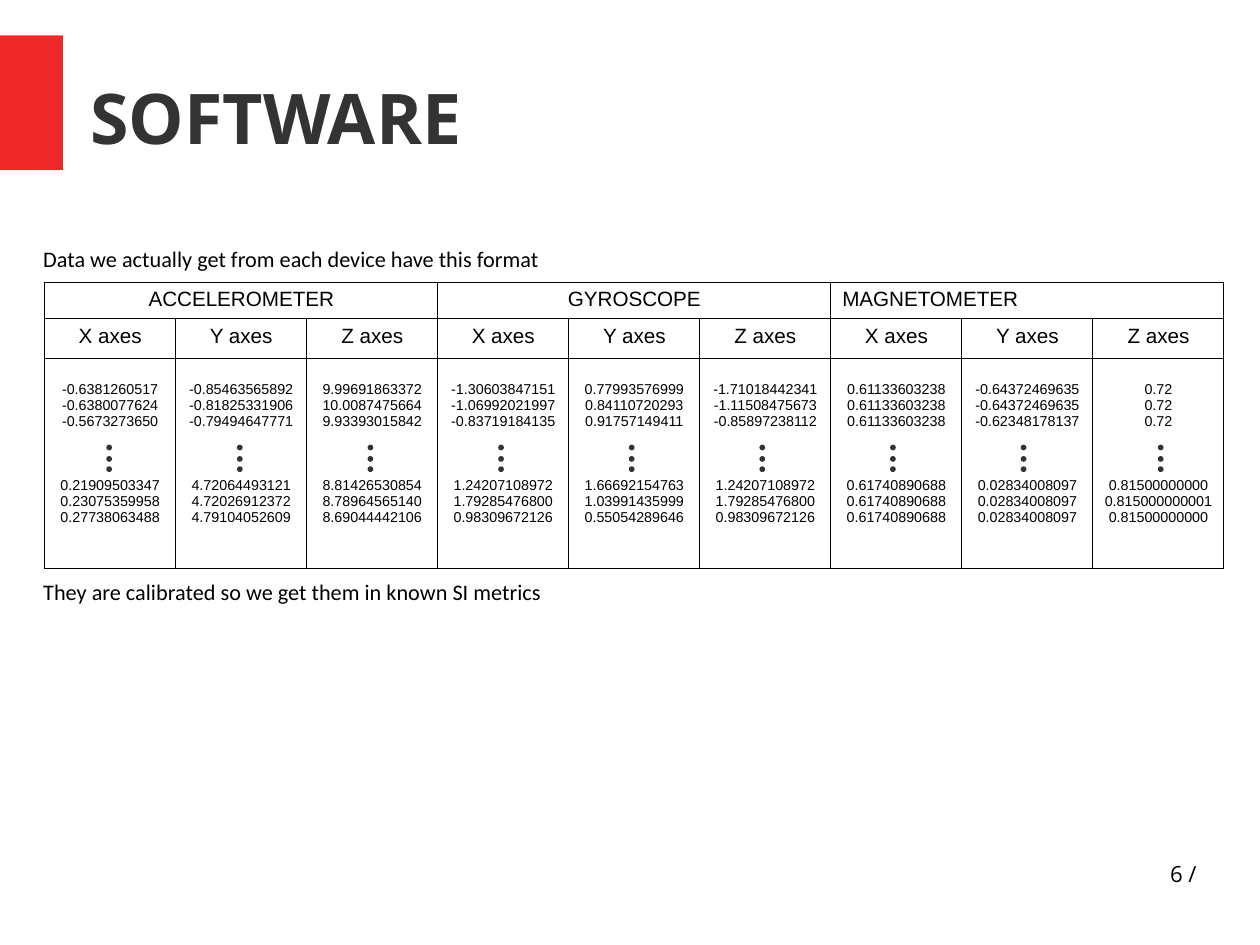
"""Builds the SOFTWARE slide with a table of sensor readings."""
from lxml.etree import SubElement
from pptx import Presentation
from pptx.dml.color import RGBColor
from pptx.enum.shapes import MSO_SHAPE
from pptx.enum.text import MSO_ANCHOR, MSO_AUTO_SIZE, PP_ALIGN
from pptx.oxml.ns import qn
from pptx.util import Cm, Inches, Pt

COLORS = {"red": "EF2929", "dark": "333333", "black": "000000"}
TITLE = "SOFTWARE"
SENSORS = [
    ("ACCELEROMETER", PP_ALIGN.CENTER),
    ("GYROSCOPE", PP_ALIGN.CENTER),
    ("MAGNETOMETER", PP_ALIGN.LEFT),
]
AXES = ["X axes", "Y axes", "Z axes"]
FIRST_READINGS = [
    ("-0.6381260517", "-0.6380077624", "-0.5673273650"),
    ("-0.85463565892", "-0.81825331906", "-0.79494647771"),
    ("9.99691863372", "10.0087475664", "9.93393015842"),
    ("-1.30603847151", "-1.06992021997", "-0.83719184135"),
    ("0.77993576999", "0.84110720293", "0.91757149411"),
    ("-1.71018442341", "-1.11508475673", "-0.85897238112"),
    ("0.61133603238", "0.61133603238", "0.61133603238"),
    ("-0.64372469635", "-0.64372469635", "-0.62348178137"),
    ("0.72", "0.72", "0.72"),
]
LAST_READINGS = [
    ("0.21909503347", "0.23075359958", "0.27738063488"),
    ("4.72064493121", "4.72026912372", "4.79104052609"),
    ("8.81426530854", "8.78964565140", "8.69044442106"),
    ("1.24207108972", "1.79285476800", "0.98309672126"),
    ("1.66692154763", "1.03991435999", "0.55054289646"),
    ("1.24207108972", "1.79285476800", "0.98309672126"),
    ("0.61740890688", "0.61740890688", "0.61740890688"),
    ("0.02834008097", "0.02834008097", "0.02834008097"),
    ("0.81500000000", "0.815000000001", "0.81500000000"),
]
NOTES = [
    ("Data we actually get from each device have this format", 2.1),
    ("They are calibrated so we get them in known SI metrics", 5.01),
]
PAGE = "6 /"
ROW_HEIGHTS = [0.32, 0.35, 1.83]
DOT_LEFTS = [0.93 + i * 8 / 7 for i in range(8)] + [10.13]
DOT_TOPS = [3.89, 3.99, 4.08]
DOT_SIZE = 0.05
GAP = Pt(30)


def rgb(name):
    return RGBColor.from_string(COLORS[name])


def add_run(p, text, size, font, color="black", bold=False):
    r = p.add_run()
    r.text = text
    r.font.size = Pt(size)
    r.font.name = font
    r.font.bold = bold
    r.font.color.rgb = rgb(color)


def add_solid(slide, kind, left, top, width, height, color):
    sp = slide.shapes.add_shape(
        kind, Inches(left), Inches(top), Inches(width), Inches(height))
    sp.shadow.inherit = False
    sp.fill.solid()
    sp.fill.fore_color.rgb = rgb(color)
    sp.line.fill.background()


def add_text(slide, text, left, top, width, height, font, align):
    sp = slide.shapes.add_textbox(
        Inches(left), Inches(top), Inches(width), Inches(height))
    tf = sp.text_frame
    tf.word_wrap = True
    p = tf.paragraphs[0]
    p.alignment = align
    add_run(p, text, 14, font)
    return tf


def clear_margins(tf):
    tf.margin_left = tf.margin_right = tf.margin_top = tf.margin_bottom = 0


def style_cell(cell):
    tc_pr = cell._tc.get_or_add_tcPr()
    for side in ("a:lnL", "a:lnR", "a:lnT", "a:lnB"):
        ln = SubElement(tc_pr, qn(side), w=str(Pt(0.75)))
        fill = SubElement(ln, qn("a:solidFill"))
        SubElement(fill, qn("a:srgbClr"), val=COLORS["black"])
    cell.fill.background()


def fill_cell(cell, lines, size, align=PP_ALIGN.CENTER):
    tf = cell.text_frame
    for i, line in enumerate(lines):
        p = tf.add_paragraph() if i else tf.paragraphs[0]
        p.alignment = align
        add_run(p, line, size, "Arial")
    return tf


def add_readings(slide):
    cols = len(FIRST_READINGS)
    table = slide.shapes.add_table(
        len(ROW_HEIGHTS), cols, Inches(0.39), Inches(2.47),
        Inches(10.32), Inches(sum(ROW_HEIGHTS))).table
    table.first_row = table.horz_banding = False
    for row, height in zip(table.rows, ROW_HEIGHTS):
        row.height = Inches(height)
    for cell in table.iter_cells():
        style_cell(cell)
    span = len(AXES)
    for i, (sensor, align) in enumerate(SENSORS):
        head = table.cell(0, i * span)
        head.merge(table.cell(0, i * span + span - 1))
        fill_cell(head, [sensor], 13, align)
    for col in range(cols):
        fill_cell(table.cell(1, col), [AXES[col % span]], 13)
        cell = table.cell(2, col)
        cell.margin_top = Inches(0.2)
        cell.margin_left = cell.margin_right = Inches(0.05)
        tf = fill_cell(cell, FIRST_READINGS[col] + LAST_READINGS[col], 9)
        tf.paragraphs[len(FIRST_READINGS[col])].space_before = GAP


def main():
    prs = Presentation()
    prs.slide_width = Cm(28)
    prs.slide_height = Cm(21)
    slide = prs.slides.add_slide(prs.slide_layouts[5])

    add_solid(slide, MSO_SHAPE.RECTANGLE, 0, 0.31, 0.55, 1.18, "red")

    title = slide.shapes.title
    title.left, title.top = Inches(0.79), Inches(0.33)
    title.width, title.height = Inches(9.68), Inches(1.38)
    tf = title.text_frame
    clear_margins(tf)
    tf.auto_size = MSO_AUTO_SIZE.NONE
    tf.vertical_anchor = MSO_ANCHOR.MIDDLE
    p = tf.paragraphs[0]
    p.alignment = PP_ALIGN.LEFT
    add_run(p, TITLE, 44, "Open Sans", "dark", True)

    add_readings(slide)
    for left in DOT_LEFTS:
        for top in DOT_TOPS:
            add_solid(slide, MSO_SHAPE.OVAL, left, top, DOT_SIZE, DOT_SIZE, "dark")

    for text, top in NOTES:
        add_text(slide, text, 0.28, top, 5, 0.34, "Calibri", PP_ALIGN.LEFT)
    clear_margins(add_text(
        slide, PAGE, 7.9, 7.53, 2.57, 0.57, "Open Sans", PP_ALIGN.RIGHT))

    prs.save("out.pptx")


if __name__ == "__main__":
    main()
